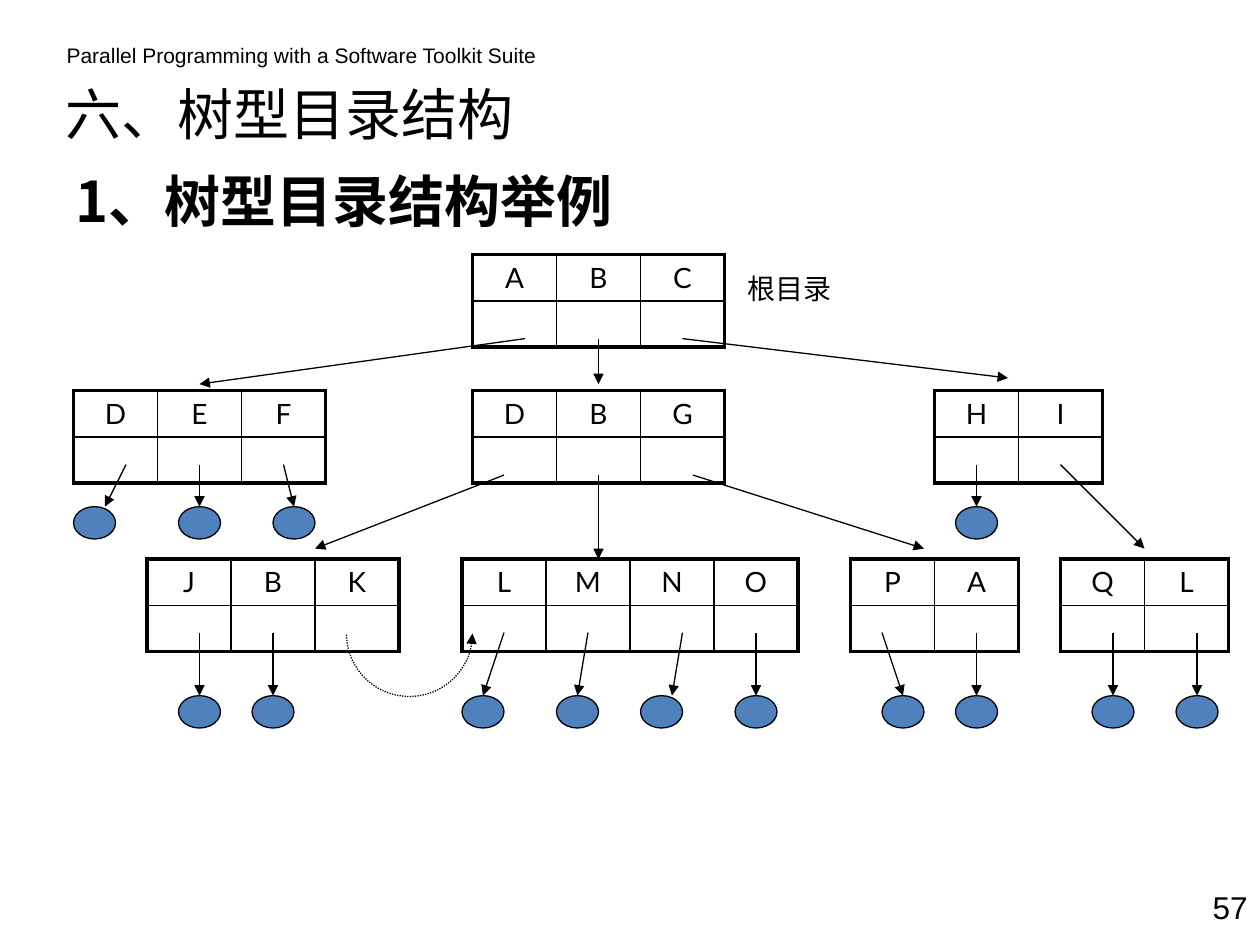
from lxml import etree
from pptx import Presentation
from pptx.dml.color import RGBColor
from pptx.enum.dml import MSO_LINE
from pptx.enum.shapes import MSO_CONNECTOR, MSO_SHAPE
from pptx.enum.text import MSO_ANCHOR, MSO_AUTO_SIZE, PP_ALIGN
from pptx.oxml.ns import qn
from pptx.util import Pt

LEFT, CENTER, RIGHT = PP_ALIGN.LEFT, PP_ALIGN.CENTER, PP_ALIGN.RIGHT
TOP, MIDDLE = MSO_ANCHOR.TOP, MSO_ANCHOR.MIDDLE
FIXED = MSO_AUTO_SIZE.NONE
LINE, OVAL, ARC = MSO_CONNECTOR.STRAIGHT, MSO_SHAPE.OVAL, MSO_SHAPE.ARC
DOTS = MSO_LINE.ROUND_DOT

COL, ROW = 48, 26.4
BLACK, BLUE = "000000", "4F81BD"
HAN = "Noto Sans CJK SC"

# left, top, entries
NODES = [
    (270, 145.5, "ABC"),
    (42, 223.2, "DEF"), (270, 223.2, "DBG"), (534, 223.2, "HI"),
    (84, 319.5, "JBK"), (264, 319.5, "LMNO"), (486, 319.5, "PA"), (606, 319.5, "QL"),
]
# start x, start y, end x, end y
LINKS = [
    (300, 193.5, 114, 219.5), (342, 193.5, 342, 219.5), (390, 193.5, 576, 216),
    (288, 271.5, 180, 313.5), (342, 271.5, 342, 319.5), (396, 271.5, 528, 313.5),
    (606, 265.5, 654, 313.5),
]
# start y, end y, then for each file: start x, end x, centre x
FILES = [
    (265.5, 289.5, [(72, 60, 54), (114, 114, 114), (162, 168, 168), (558, 558, 558)]),
    (361.5, 397.5, [
        (114, 114, 114), (156, 156, 156), (288, 276, 276), (336, 330, 330),
        (390, 384, 378), (432, 432, 432), (504, 516, 516), (558, 558, 558),
        (636, 636, 636), (684, 684, 684)]),
]


def rgb(code):
    return RGBColor.from_string(code)


def add(parent, tag, **attrs):
    return etree.SubElement(parent, qn(tag), attrs)


class Sketch:
    def __init__(self, slide):
        self.slide = slide
        self.shapes = slide.shapes
        self.thin, self.thick, self.pen = 1, 2.25, 0.75

    def run(self, para, text, size, font, bold=False):
        run = para.add_run()
        run.text = text
        run.font.size = Pt(size)
        run.font.name = font
        run.font.bold = bold
        run.font.color.rgb = rgb(BLACK)
        add(run.font._element, "a:ea", typeface=HAN)

    def fill(self, shape, text, size, font, align=LEFT, anchor=TOP, bold=False):
        """Put one line of text into a text box or placeholder."""
        frame = shape.text_frame
        frame.word_wrap = True
        frame.auto_size = FIXED
        frame.vertical_anchor = anchor
        para = frame.paragraphs[0]
        para.alignment = align
        para.space_before = Pt(0)
        self.run(para, text, size, font, bold)
        return para

    def label(self, box, text, size, align=LEFT):
        shape = self.shapes.add_textbox(*map(Pt, box))
        self.fill(shape, text, size, "Arial", align)

    def holder(self, index, box, text, anchor=TOP, bold=False):
        shape = self.slide.placeholders[index]
        shape.left, shape.top, shape.width, shape.height = map(Pt, box)
        return self.fill(shape, text, 32, HAN, LEFT, anchor, bold)

    def border(self, cell, widths):
        """Draw the left, right, top and bottom edges of a cell."""
        props = cell._tc.get_or_add_tcPr()
        for side, width in zip("LRTB", widths):
            edge = add(props, f"a:ln{side}", w=str(int(Pt(width))))
            add(add(edge, "a:solidFill"), "a:srgbClr", val=BLACK)
        cell.fill.background()

    def node(self, left, top, names):
        count = len(names)
        size = Pt(COL * count), Pt(ROW * 2)
        table = self.shapes.add_table(2, count, Pt(left), Pt(top), *size).table
        table.first_row = table.horz_banding = False
        for col in table.columns:
            col.width = Pt(COL)
        for y, row in enumerate(table.rows):
            row.height = Pt(ROW)
            for x, cell in enumerate(row.cells):
                para = cell.text_frame.paragraphs[0]
                para.alignment = CENTER
                if y == 0:
                    self.run(para, names[x], 16, "Lato")
                else:
                    add(para._p, "a:endParaRPr", sz="1400")
                outer = (x == 0, x == count - 1, y == 0, y == 1)
                self.border(cell, [self.thick if out else self.thin for out in outer])

    def stroke(self, shape, end):
        """Set a thin black line with an arrowhead at the named end."""
        shape.line.color.rgb = rgb(BLACK)
        shape.line.width = Pt(self.pen)
        add(shape.line._get_or_add_ln(), f"a:{end}", type="triangle")

    def arrow(self, *ends):
        line = self.shapes.add_connector(LINE, *map(Pt, ends))
        self.stroke(line, "tailEnd")
        add(line._element.spPr, "a:effectLst")

    def oval(self, mid, top):
        shape = self.shapes.add_shape(OVAL, Pt(mid - 12), Pt(top), Pt(24), Pt(18.5))
        shape.shadow.inherit = False
        shape.fill.solid()
        shape.fill.fore_color.rgb = rgb(BLUE)
        shape.line.color.rgb = rgb(BLACK)
        shape.line.width = Pt(self.pen)

    def curve(self, left, top, size):
        """Draw the dotted lower half of a circle, its arrowhead at the right."""
        arc = self.shapes.add_shape(ARC, Pt(left), Pt(top), Pt(size), Pt(size))
        arc.adjustments[0] = 0
        arc.adjustments[1] = 108
        arc.shadow.inherit = False
        arc.fill.background()
        arc.line.dash_style = DOTS
        self.stroke(arc, "headEnd")


def main():
    deck = Presentation()
    deck.slide_width, deck.slide_height = Pt(720), Pt(540)
    art = Sketch(deck.slides.add_slide(deck.slide_layouts[1]))

    art.label((31, 20.5, 310, 22), "Parallel Programming with a Software Toolkit Suite", 12)
    art.holder(0, (30, 37.5, 408, 54), "六、树型目录结构", MIDDLE)
    para = art.holder(1, (36, 91.5, 672, 48), "1、树型目录结构举例", bold=True)
    props = para._p.get_or_add_pPr()
    props.set("marL", str(int(Pt(27))))
    props.set("indent", str(int(Pt(-27))))
    add(props, "a:buNone")

    for node in NODES:
        art.node(*node)
    for link in LINKS:
        art.arrow(*link)
    for start, end, files in FILES:
        for tail, tip, mid in files:
            art.oval(mid, end)
            art.arrow(tail, start, tip, end)
    art.curve(198, 326, 72)

    art.label((420, 151.5, 90, 26.5), "根目录", 16)
    art.label((672, 504, 48, 36), "57", 18, RIGHT)
    deck.save("out.pptx")


if __name__ == "__main__":
    main()
